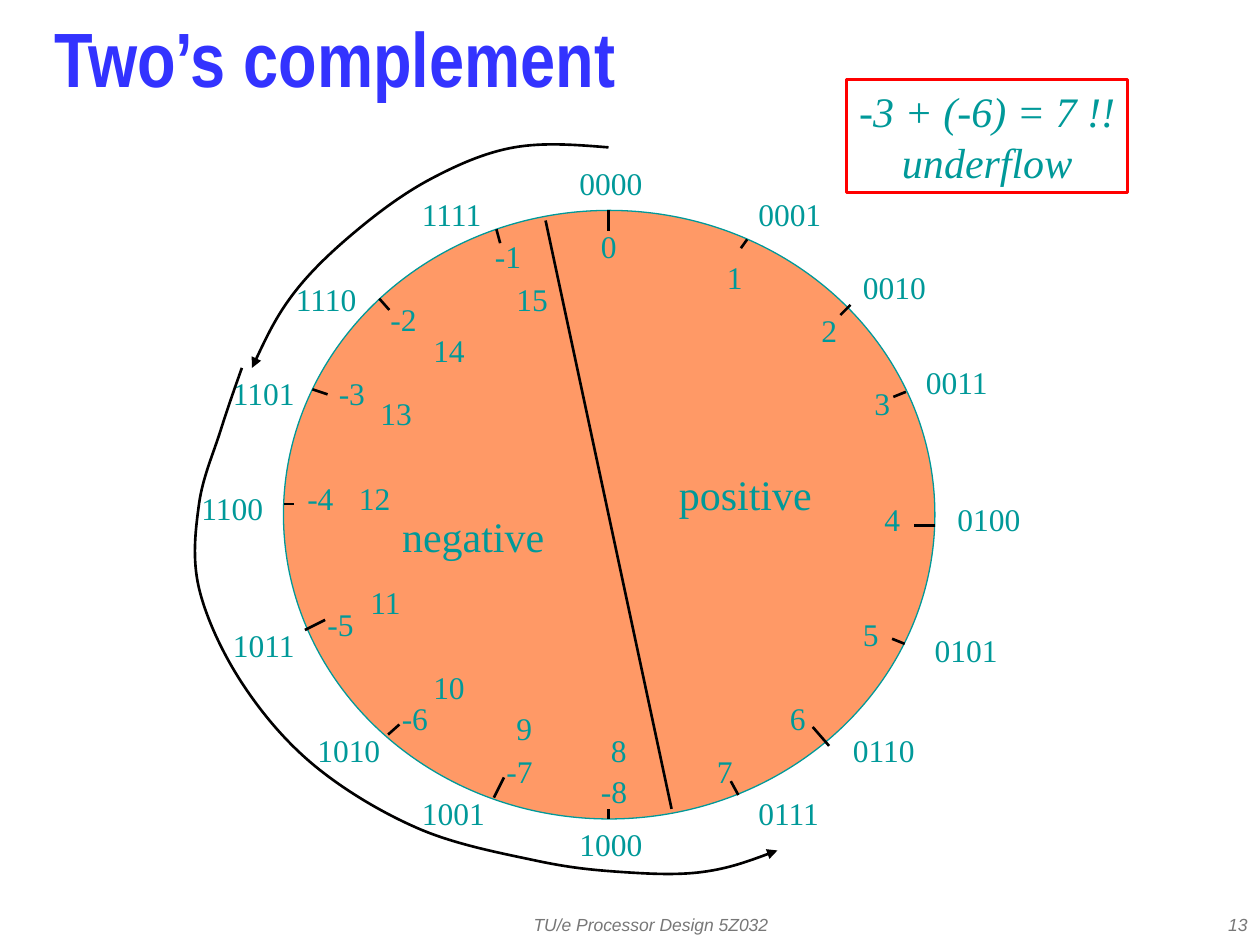
from lxml import etree
from pptx import Presentation
from pptx.dml.color import RGBColor
from pptx.enum.shapes import MSO_CONNECTOR, MSO_SHAPE
from pptx.enum.text import MSO_ANCHOR, MSO_AUTO_SIZE, PP_ALIGN
from pptx.oxml.ns import qn
from pptx.util import Inches, Pt

LEFT, CENTER, RIGHT = PP_ALIGN.LEFT, PP_ALIGN.CENTER, PP_ALIGN.RIGHT
TOP, MIDDLE = MSO_ANCHOR.TOP, MSO_ANCHOR.MIDDLE
FIT, FIXED = MSO_AUTO_SIZE.SHAPE_TO_FIT_TEXT, MSO_AUTO_SIZE.NONE
OVAL, RECT = MSO_SHAPE.OVAL, MSO_SHAPE.RECTANGLE
STRAIGHT = MSO_CONNECTOR.STRAIGHT
SERIF = "Times New Roman"
COLORS = {"title": "3333FF", "teal": "009999", "disc": "FF9966",
          "ink": "010000", "red": "FF0000", "gray": "777777"}

# Label corners, clockwise from the top: bit patterns of 0 to 15
CODES = [(4.5, 1.25), (5.92, 1.5), (6.75, 2.08), (7.25, 2.83),
         (7.5, 3.92), (7.32, 4.96), (6.67, 5.75), (5.92, 6.25),
         (4.5, 6.5), (3.25, 6.25), (2.42, 5.75), (1.75, 4.92),
         (1.5, 3.83), (1.75, 2.92), (2.25, 2.17), (3.25, 1.5)]
# Unsigned values 0 to 15
VALUES = [(4.67, 1.75), (5.67, 2), (6.42, 2.42), (6.84, 3),
          (6.92, 3.92), (6.75, 4.83), (6.17, 5.5), (5.59, 5.92),
          (4.75, 5.75), (4, 5.58), (3.34, 5.25), (2.84, 4.58),
          (2.75, 3.75), (2.92, 3.08), (3.34, 2.58), (4, 2.17)]
# Signed values -8 to -1
SIGNED = [(4.67, 6.08), (3.92, 5.92), (3.09, 5.5), (2.5, 4.75),
          (2.34, 3.75), (2.59, 2.92), (3, 2.33), (3.83, 1.83)]
# Tick marks from the rim inwards
TICKS = [(4.83, 1.67, 4.83, 1.83), (5.93, 1.9, 5.88, 1.97),
         (6.75, 2.42, 6.67, 2.5), (7.19, 3.11, 7.09, 3.15),
         (7.42, 4.17, 7.25, 4.17), (7.18, 5.11, 7.08, 5.07),
         (6.58, 5.92, 6.45, 5.77), (5.86, 6.31, 5.8, 6.2),
         (4.83, 6.5, 4.83, 6.42), (3.92, 6.33, 4, 6.17),
         (3.08, 5.83, 3.17, 5.75), (2.42, 5, 2.58, 4.92),
         (2.25, 4, 2.33, 4), (2.48, 3.09, 2.6, 3.13),
         (3.01, 2.37, 3.09, 2.46), (3.94, 1.82, 3.97, 1.93)]
DIVIDER = (4.33, 1.75, 5.33, 6.42)
# Points that the two curved arrows pass through
ARCS = [
    [(4.83, 1.17), (4.08, 1.17), (3.42, 1.42), (2.83, 1.83),
     (2.33, 2.33), (2, 2.92)],
    [(1.92, 2.92), (1.75, 3.42), (1.58, 4), (1.58, 4.67), (1.92, 5.42),
     (2.5, 6.08), (3.33, 6.58), (4.25, 6.83), (4.92, 6.92),
     (5.58, 6.92), (6.17, 6.75)],
]

prs = Presentation()
prs.slide_width, prs.slide_height = Inches(10), Inches(7.5)
slide = prs.slides.add_slide(prs.slide_layouts[5])
shapes = slide.shapes


def color(name):
    return RGBColor.from_string(COLORS[name])


def outline(shape, name="ink", width=1.5):
    shape.line.color.rgb = color(name)
    shape.line.width = Pt(width)


def write(shape, text, size=18, font=SERIF, tint="teal", bold=False,
          italic=False, align=LEFT, anchor=TOP, wrap=False, fit=FIT,
          space=None):
    frame = shape.text_frame
    frame.text = text
    frame.word_wrap, frame.auto_size = wrap, fit
    frame.vertical_anchor = anchor
    for para in frame.paragraphs:
        para.alignment = align
        if space:
            para.line_spacing = space
        face = para.font
        face.name, face.size = font, Pt(size)
        face.bold, face.italic = bold, italic
        face.color.rgb = color(tint)


def label(text, x, y, w, h=0.4, **style):
    box = shapes.add_textbox(Inches(x), Inches(y), Inches(w), Inches(h))
    write(box, text, **style)


def stroke(x1, y1, x2, y2):
    line = shapes.add_connector(STRAIGHT, Inches(x1), Inches(y1),
                                Inches(x2), Inches(y2))
    outline(line)
    etree.SubElement(line._element.spPr, qn("a:effectLst"))


def mid(a, b):
    return (a[0] + b[0]) / 2, (a[1] + b[1]) / 2


def lean(knots, i, sign):
    """Handle of an inner knot, along the chord of its neighbours."""
    return tuple(k + sign * (b - a) / 6 for a, k, b in
                 zip(knots[i - 1], knots[i], knots[i + 1]))


def arc(knots):
    """Smooth curve through the knots, with an arrowhead at its end."""
    last = len(knots) - 1
    points = []
    for i in range(last):
        out = lean(knots, i, 1) if i else None
        into = lean(knots, i + 1, -1) if i + 1 < last else None
        points += [out or mid(knots[0], into),
                   into or mid(out, knots[last]), knots[i + 1]]
    pen = shapes.build_freeform(*map(Inches, knots[0]))
    pen.add_line_segments([tuple(map(Inches, p)) for p in points],
                          close=False)
    curve = pen.convert_to_shape()
    curve.shadow.inherit = False
    curve.fill.background()
    outline(curve)
    # Each three straight steps become one Bezier segment
    steps = list(curve._element.iter(qn("a:lnTo")))
    for i in range(0, len(steps), 3):
        bend = etree.Element(qn("a:cubicBezTo"))
        steps[i].addprevious(bend)
        for step in steps[i:i + 3]:
            bend.append(step[0])
            step.getparent().remove(step)
    etree.SubElement(curve._element.spPr.find(qn("a:ln")),
                     qn("a:tailEnd"), type="triangle")


# Title and footer
title = shapes.title
title.left, title.top = Inches(0.33), Inches(0)
title.width, title.height = Inches(8.58), Inches(1.08)
write(title, "Two’s complement", size=44, font="Arial Narrow", tint="title",
      bold=True, anchor=MIDDLE, wrap=True, fit=FIXED, space=0.7)
foot = dict(size=10, font="Arial", tint="gray", italic=True, anchor=MIDDLE,
            fit=FIXED)
label("TU/e Processor Design 5Z032", 3.58, 7.17, 3.17, 0.33, align=CENTER,
      **foot)
label("13", 7.92, 7.17, 2.08, 0.33, align=RIGHT, wrap=True, **foot)

# Number circle
disc = shapes.add_shape(OVAL, Inches(2.25), Inches(1.67),
                        Inches(5.17), Inches(4.83))
disc.shadow.inherit = False
disc.fill.solid()
disc.fill.fore_color.rgb = color("disc")
outline(disc, "teal", 0.75)

# Number labels
for n, spot in enumerate(CODES):
    label(f"{n:04b}", *spot, 0.7)
for n, spot in enumerate(VALUES):
    label(str(n), *spot, 0.32 if n < 10 else 0.45)
for n, spot in enumerate(SIGNED, -8):
    label(str(n), *spot, 0.41)

# Ticks, divider and curved arrows
for ends in TICKS + [DIVIDER]:
    stroke(*ends)
for knots in ARCS:
    arc(knots)

# Underflow note
note = shapes.add_shape(RECT, Inches(6.72), Inches(0.63),
                        Inches(2.23), Inches(0.9))
note.shadow.inherit = False
note.fill.background()
outline(note, "red")
write(note, "-3 + (-6) = 7 !!\nunderflow", size=24, italic=True,
      align=CENTER, anchor=MIDDLE)

# Names of the halves
half = dict(size=24, align=CENTER, anchor=MIDDLE)
label("positive", 5.26, 3.67, 1.31, 0.5, **half)
label("negative", 3.08, 4, 1.35, 0.5, **half)

prs.save("out.pptx")
